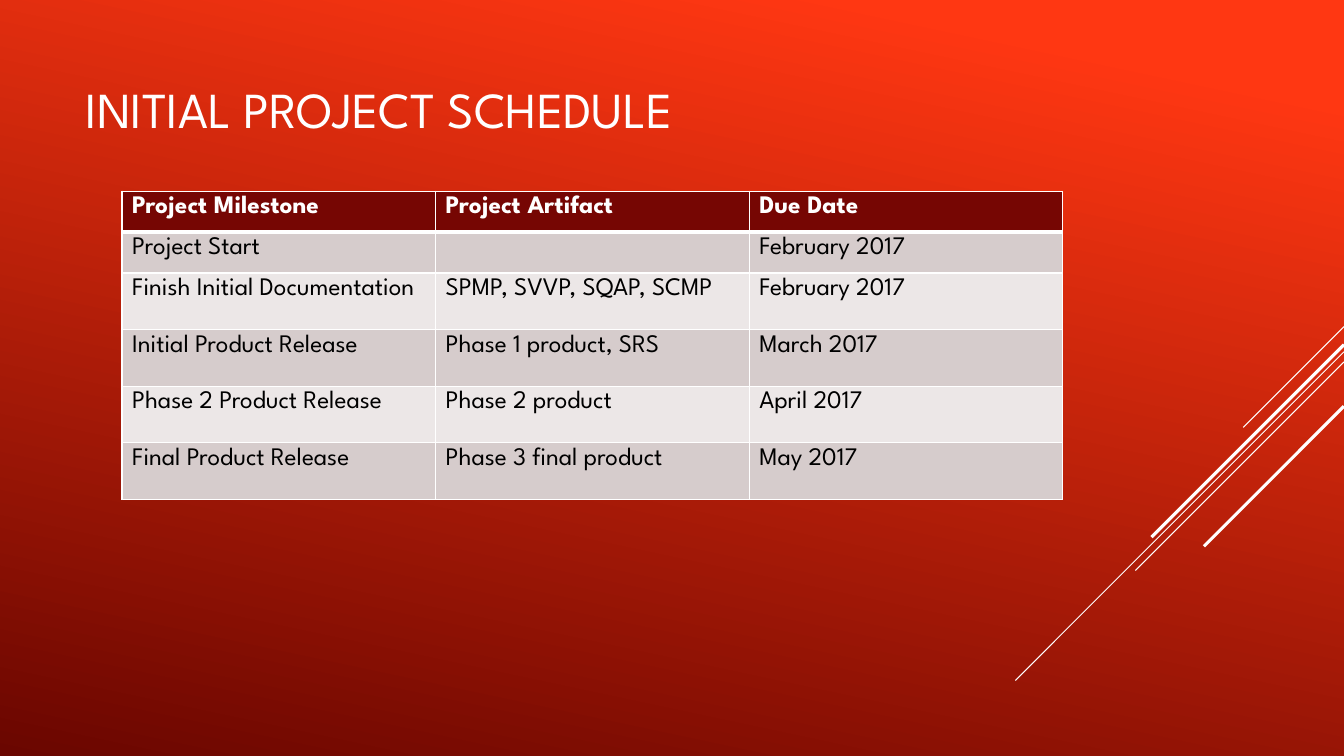
"""Build the initial project schedule slide."""
from lxml.etree import SubElement
from pptx import Presentation
from pptx.dml.color import RGBColor
from pptx.enum.shapes import MSO_CONNECTOR as Connector
from pptx.enum.text import MSO_ANCHOR as Anchor
from pptx.oxml.ns import qn
from pptx.util import Pt

FONT = "League Spartan"
WHITE, BLACK = "FFFFFF", "000000"
HEADER_FILL, BAND_FILLS = "760603", ("D6CCCC", "ECE7E7")
WIDTH, HEIGHT = 960, 540

TITLE = "INITIAL PROJECT SCHEDULE"
SCHEDULE = [
    ("Project Milestone", "Project Artifact", "Due Date"),
    ("Project Start", "", "February 2017"),
    ("Finish Initial Documentation", "SPMP, SVVP, SQAP, SCMP", "February 2017"),
    ("Initial Product Release", "Phase 1 product, SRS", "March 2017"),
    ("Phase 2 Product Release", "Phase 2 product", "April 2017"),
    ("Final Product Release", "Phase 3 final product", "May 2017"),
]
ROW_HEIGHTS = (29.2, 29.2, 40.4, 40.4, 40.4, 40.4)
COLUMN_WIDTH = 224
TABLE_LEFT, TABLE_TOP = 87.2, 136.6
BACKGROUND_STOPS = [(0.1, "FF3712"), (1, "6A0600")]
# Each diagonal: start height on the right edge, horizontal reach, weight.
DIAGONALS = [
    (233.3, 72, 0.75),
    (251.3, 234.7, 0.75),
    (258.5, 149, 0.75),
    (246.2, 137.5, 2.25),
    (290.2, 100, 2.25),
]


def color(value):
    return RGBColor.from_string(value)


def add_text(frame, text, size, text_color, bold=False):
    run = frame.paragraphs[0].add_run()
    run.text = text
    run.font.name = FONT
    run.font.size = Pt(size)
    run.font.bold = bold
    run.font.color.rgb = color(text_color)


def add_border(cell, side, weight):
    properties = cell._tc.get_or_add_tcPr()
    line = SubElement(properties, qn(f"a:ln{side}"), w=str(Pt(weight)))
    fill = SubElement(line, qn("a:solidFill"))
    SubElement(fill, qn("a:srgbClr"), val=WHITE)


def paint_background(slide):
    fill = slide.background.fill
    fill.gradient()
    fill.gradient_angle = 360 - 102
    for stop, (position, value) in zip(fill.gradient_stops, BACKGROUND_STOPS):
        stop.position = position
        stop.color.rgb = color(value)


def add_diagonals(slide):
    for top, reach, weight in DIAGONALS:
        line = slide.shapes.add_connector(
            Connector.STRAIGHT, Pt(WIDTH), Pt(top), Pt(WIDTH - reach), Pt(top + reach))
        line.line.color.rgb = color(WHITE)
        line.line.width = Pt(weight)
        SubElement(line._element.spPr, qn("a:effectLst"))


def add_title(slide):
    frame = slide.shapes.add_textbox(Pt(54), Pt(18), Pt(672), Pt(118.8)).text_frame
    frame.word_wrap = True
    frame.vertical_anchor = Anchor.MIDDLE
    add_text(frame, TITLE, 36, WHITE)


def add_schedule(slide):
    columns = len(SCHEDULE[0])
    table = slide.shapes.add_table(
        len(SCHEDULE), columns, Pt(TABLE_LEFT), Pt(TABLE_TOP),
        Pt(COLUMN_WIDTH * columns), Pt(sum(ROW_HEIGHTS))).table
    for column in table.columns:
        column.width = Pt(COLUMN_WIDTH)
    for row, (texts, height) in enumerate(zip(SCHEDULE, ROW_HEIGHTS)):
        table.rows[row].height = Pt(height)
        header = row == 0
        weights = {"L": 1, "R": 1, "T": 3 if row == 1 else 1, "B": 3 if header else 1}
        for index, text in enumerate(texts):
            cell = table.cell(row, index)
            for side, weight in weights.items():
                add_border(cell, side, weight)
            cell.fill.solid()
            cell.fill.fore_color.rgb = color(HEADER_FILL if header else BAND_FILLS[(row - 1) % 2])
            if text:
                add_text(cell.text_frame, text, 18, WHITE if header else BLACK, header)


def main():
    presentation = Presentation()
    presentation.slide_width, presentation.slide_height = Pt(WIDTH), Pt(HEIGHT)
    slide = presentation.slides.add_slide(presentation.slide_layouts[6])
    paint_background(slide)
    add_diagonals(slide)
    add_title(slide)
    add_schedule(slide)
    presentation.save("out.pptx")


if __name__ == "__main__":
    main()
